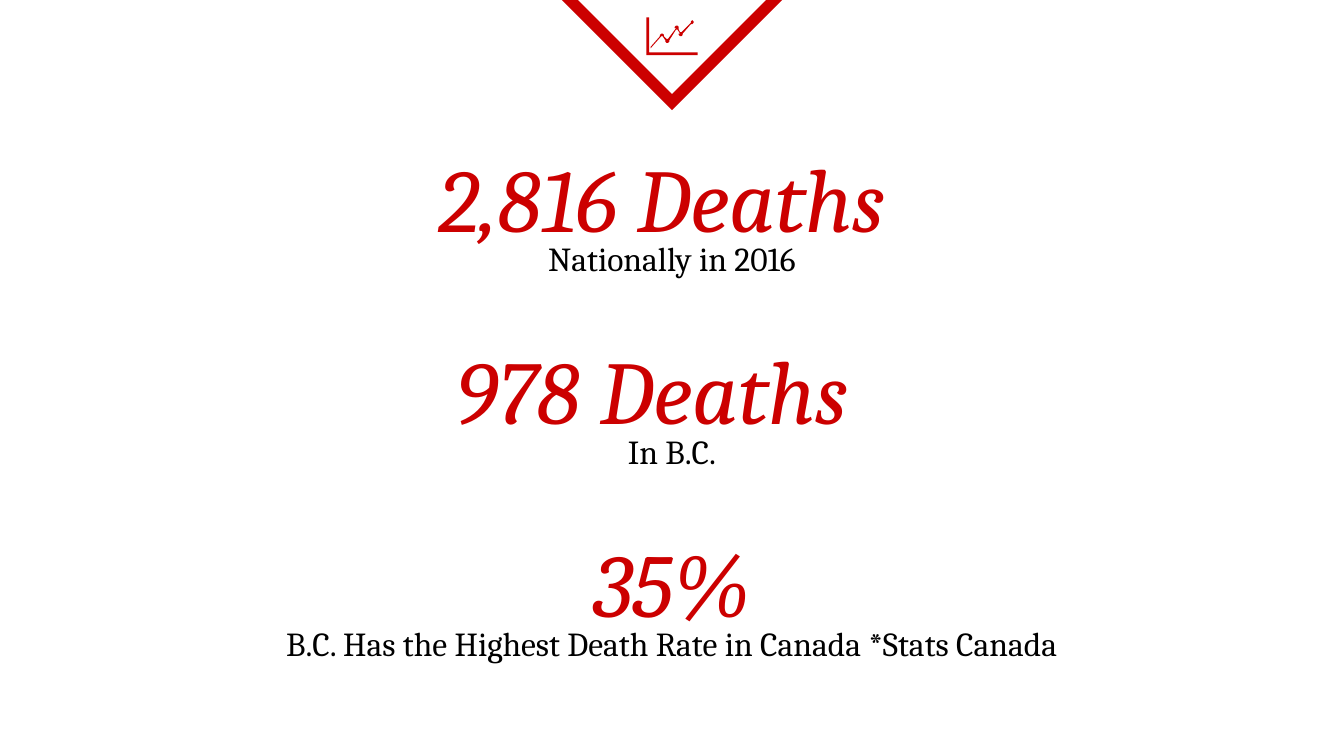
"""Build a slide of three headline death statistics under a chart badge."""
from dataclasses import dataclass

import lxml.etree
import pptx
import pptx.dml.color
import pptx.enum.shapes
import pptx.enum.text
import pptx.oxml.ns
import pptx.util

WIDTH = 10
HEIGHT = WIDTH * 9 / 16
MARGIN = 0.075 * WIDTH
FIRST_ROW, ROW_STEP = 0.97, 1.435
CAPTION_DROP = 0.67
INSET = 0.1
ICON_UNIT = 0.01

STATISTICS = [
    ("2,816 Deaths", "Nationally in 2016", 0.15),
    ("978 Deaths", "In B.C.", 0.29),
    ("35%", "B.C. Has the Highest Death Rate in Canada *Stats Canada", 0),
]
AXES = [(481, 13), (483, 13), (483, 39), (519, 39), (519, 41), (481, 41)]
TREND = [
    (515, 15), (514, 16), (514, 17), (507, 24), (506, 24), (505, 22), (505, 20),
    (504, 19), (503, 19), (502, 20), (502, 21), (503, 21), (497, 29), (496, 29),
    (494, 27), (494, 26), (493, 25), (492, 25), (491, 26), (491, 27), (484, 35),
    (484, 36), (492, 27), (493, 27), (495, 30), (495, 31), (496, 32), (497, 32),
    (498, 31), (498, 30), (503, 22), (504, 22), (506, 25), (505, 25), (505, 26),
    (506, 27), (507, 27), (508, 26), (508, 25), (514, 18), (515, 18), (516, 17),
    (516, 16),
]


@dataclass(frozen=True)
class Theme:
    """Hold the colours, font and type sizes."""
    accent: str = "CC0000"
    ink: str = "000000"
    paper: str = "FFFFFF"
    font: str = "Cambria"
    headline: int = 48
    caption: int = 18
    badge_line: int = 6


THEME = Theme()


def colour(value):
    """Turn a hexadecimal string into a colour."""
    return pptx.dml.color.RGBColor.from_string(value)


def add_filled_outline(slide, points):
    """Add a closed accent shape through points in icon units."""
    builder = slide.shapes.build_freeform(*points[0], scale=pptx.util.Inches(ICON_UNIT))
    builder.add_line_segments(points[1:], close=True)
    shape = builder.convert_to_shape()
    shape.shadow.inherit = False
    shape.fill.solid()
    shape.fill.fore_color.rgb = colour(THEME.accent)
    shape.line.fill.background()


def add_text(slide, text, top, height, size, ink, italic=False, spacing=1.0, shift=0):
    """Add a centred line of text, with extra right inset as shift."""
    box = slide.shapes.add_textbox(
        *map(pptx.util.Inches, (MARGIN, top, WIDTH - 2 * MARGIN, height)))
    frame = box.text_frame
    frame.word_wrap = True
    frame.vertical_anchor = pptx.enum.text.MSO_ANCHOR.MIDDLE
    frame.margin_left = frame.margin_top = frame.margin_bottom = pptx.util.Inches(INSET)
    frame.margin_right = pptx.util.Inches(INSET + shift)
    paragraph = frame.paragraphs[0]
    paragraph.text = text
    paragraph.alignment = pptx.enum.text.PP_ALIGN.CENTER
    paragraph.line_spacing = spacing
    paragraph.font.name = THEME.font
    paragraph.font.size = pptx.util.Pt(size)
    paragraph.font.italic = italic
    paragraph.font.color.rgb = colour(ink)


def add_statistic(slide, row, headline, caption, shift):
    """Add one headline figure and its caption on a row."""
    top = FIRST_ROW + row * ROW_STEP
    add_text(slide, headline, top, 0.98, THEME.headline, THEME.accent, italic=True, shift=shift)
    add_text(slide, caption, top + CAPTION_DROP, 0.51, THEME.caption, THEME.ink, spacing=1.15)


def add_badge(slide):
    """Add the hollow triangle that points down from the top edge."""
    width, height = 1.64, 0.82
    badge = slide.shapes.add_shape(
        pptx.enum.shapes.MSO_SHAPE.ISOSCELES_TRIANGLE,
        *map(pptx.util.Inches, ((WIDTH - width) / 2, -0.06, width, height)))
    badge.rotation = 180
    badge.shadow.inherit = False
    badge.fill.background()
    badge.line.color.rgb = colour(THEME.accent)
    badge.line.width = pptx.util.Pt(THEME.badge_line)
    line = badge.element.spPr.find(pptx.oxml.ns.qn("a:ln"))
    lxml.etree.SubElement(line, pptx.oxml.ns.qn("a:miter"), lim="800000")


def main():
    """Build and save the presentation."""
    presentation = pptx.Presentation()
    presentation.slide_width = pptx.util.Inches(WIDTH)
    presentation.slide_height = pptx.util.Inches(HEIGHT)
    slide = presentation.slides.add_slide(presentation.slide_layouts[6])
    slide.background.fill.solid()
    slide.background.fill.fore_color.rgb = colour(THEME.paper)
    add_badge(slide)
    for row, statistic in enumerate(STATISTICS):
        add_statistic(slide, row, *statistic)
    for outline in (AXES, TREND):
        add_filled_outline(slide, outline)
    presentation.save("out.pptx")


if __name__ == "__main__":
    main()
